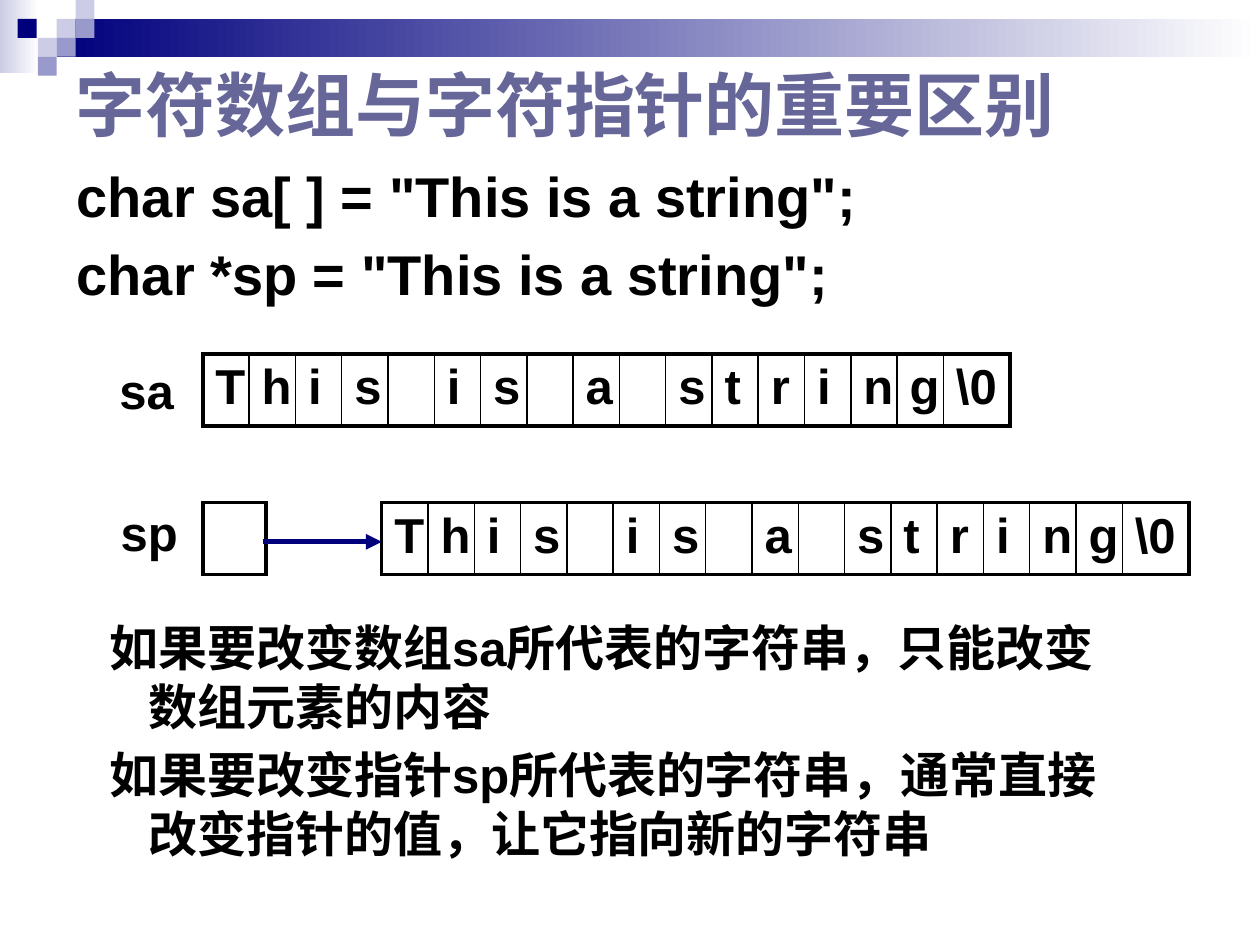
from lxml.etree import SubElement
from pptx import Presentation
from pptx.dml.color import RGBColor
from pptx.enum.dml import MSO_LINE
from pptx.enum.shapes import MSO_CONNECTOR, MSO_SHAPE
from pptx.enum.text import MSO_ANCHOR, MSO_AUTO_SIZE, PP_ALIGN
from pptx.oxml.ns import qn
from pptx.util import Inches, Pt

NAVY, LAVENDER, PERIWINKLE = "00007D", "CCCCE6", "9999CC"
SLATE, BLACK, WHITE = "666699", "000000", "FFFFFF"
THIN, THICK = 1, 2.25
LETTERS = [*"This is a string", "\\0"]
TABLE_WIDTH, LAST_WIDTH, ROW_HEIGHT = 6.41, 0.53, 0.57
LETTER_WIDTH = (TABLE_WIDTH - LAST_WIDTH) / (len(LETTERS) - 1)
LETTER_WIDTHS = [LETTER_WIDTH] * (len(LETTERS) - 1) + [LAST_WIDTH]


def color(hex_string):
    return RGBColor.from_string(hex_string)


class SlideBuilder:
    """Holds the text style and the slide being filled."""

    font_name = "Arial"

    def __init__(self, slide):
        self.slide = slide

    def rectangle(self, left, top, width, height, fill, fade_to=None):
        shape = self.slide.shapes.add_shape(
            MSO_SHAPE.RECTANGLE, Inches(left), Inches(top), Inches(width), Inches(height))
        shape.shadow.inherit = False
        shape.line.fill.background()
        if fade_to:
            shape.fill.gradient()
            shape.fill.gradient_angle = 0
            for stop, stop_color in zip(shape.fill.gradient_stops, (fill, fade_to)):
                stop.color.rgb = color(stop_color)
        else:
            shape.fill.solid()
            shape.fill.fore_color.rgb = color(fill)

    def run(self, paragraph, text, size, text_color=BLACK):
        run = paragraph.add_run()
        run.text = text
        run.font.name = self.font_name
        run.font.size = Pt(size)
        run.font.bold = True
        run.font.color.rgb = color(text_color)

    def place(self, shape, left, top, width, height):
        shape.left, shape.top = Inches(left), Inches(top)
        shape.width, shape.height = Inches(width), Inches(height)

    def title(self, text, *box):
        shape = self.slide.shapes.title
        self.place(shape, *box)
        frame = shape.text_frame
        frame.auto_size = MSO_AUTO_SIZE.NONE
        frame.vertical_anchor = MSO_ANCHOR.MIDDLE
        frame.paragraphs[0].alignment = PP_ALIGN.LEFT
        self.run(frame.paragraphs[0], text, 40, SLATE)

    def fill_lines(self, frame, lines, size, margin, hanging):
        """Write one unbulleted paragraph with a hanging indent per line."""
        frame.word_wrap = True
        frame.auto_size = MSO_AUTO_SIZE.NONE
        for index, line in enumerate(lines):
            paragraph = frame.add_paragraph() if index else frame.paragraphs[0]
            paragraph.space_before = Pt(size * 0.2)
            properties = paragraph._p.get_or_add_pPr()
            properties.set("marL", str(Inches(margin)))
            properties.set("indent", str(-Inches(hanging)))
            SubElement(properties, qn("a:buNone"))
            self.run(paragraph, line, size)

    def text_box(self, lines, box, size=28, margin=0.81, hanging=0.31):
        shape = self.slide.shapes.add_textbox(*map(Inches, box))
        self.fill_lines(shape.text_frame, lines, size, margin, hanging)

    def body(self, lines, box, size=28, margin=0.81, hanging=0.31):
        shape = self.slide.placeholders[1]
        self.place(shape, *box)
        self.fill_lines(shape.text_frame, lines, size, margin, hanging)

    def border(self, cell, side, width):
        line = SubElement(cell._tc.get_or_add_tcPr(), qn(f"a:{side}"), w=str(Pt(width)))
        fill = SubElement(line, qn("a:solidFill"))
        SubElement(fill, qn("a:srgbClr"), val=BLACK)

    def memory_row(self, left, top, texts, widths):
        """Draw a one-row table with a thick frame and thin inner lines."""
        table = self.slide.shapes.add_table(
            1, len(texts), Inches(left), Inches(top),
            Inches(sum(widths)), Inches(ROW_HEIGHT)).table
        table.first_row = table.horz_banding = False
        last = len(texts) - 1
        for index, (text, width) in enumerate(zip(texts, widths)):
            table.columns[index].width = Inches(width)
            cell = table.cell(0, index)
            cell.margin_left = cell.margin_right = Inches(0.1)
            if text.strip():
                self.run(cell.text_frame.paragraphs[0], text, 28)
            self.border(cell, "lnL", THIN if index else THICK)
            self.border(cell, "lnR", THIN if index < last else THICK)
            self.border(cell, "lnT", THICK)
            self.border(cell, "lnB", THICK)
            cell.fill.background()

    def arrow(self, start, end, line_color, width):
        connector = self.slide.shapes.add_connector(
            MSO_CONNECTOR.STRAIGHT, *map(Inches, (*start, *end)))
        connector.line.color.rgb = color(line_color)
        connector.line.width = Pt(width)
        connector.line.dash_style = MSO_LINE.SOLID
        SubElement(connector.line._get_or_add_ln(), qn("a:tailEnd"), type="triangle")
        SubElement(connector._element.spPr, qn("a:effectLst"))


def main():
    presentation = Presentation()
    presentation.slide_width, presentation.slide_height = Inches(10), Inches(7.5)
    builder = SlideBuilder(presentation.slides.add_slide(presentation.slide_layouts[1]))

    builder.rectangle(0, 0, 0.31, 0.58, LAVENDER, fade_to=WHITE)
    builder.rectangle(0.45, 0.15, 9.55, 0.3, NAVY, fade_to=WHITE)
    for left, top, fill in [
        (0.45, 0.15, LAVENDER), (0.6, 0, LAVENDER), (0.6, 0.15, PERIWINKLE),
        (0.3, 0.3, LAVENDER), (0.14, 0.15, NAVY), (0.45, 0.3, PERIWINKLE),
        (0.3, 0.45, PERIWINKLE),
    ]:
        builder.rectangle(left, top, 0.15, 0.15, fill)

    builder.title("字符数组与字符指针的重要区别", 0.5, 0.5, 9, 0.65)
    builder.text_box(
        ['char sa[ ] = "This is a string";', 'char *sp = "This is a string";'],
        (0.51, 1.23, 6.93, 1.26), size=32, margin=0.38, hanging=0.38)

    builder.text_box(["sa"], (0.35, 2.81, 1.34, 0.47))
    builder.memory_row(1.61, 2.81, LETTERS, LETTER_WIDTHS)

    builder.text_box(["sp"], (0.36, 3.94, 1.34, 0.47))
    builder.memory_row(3.03, 3.99, LETTERS, LETTER_WIDTHS)
    builder.memory_row(1.61, 3.99, [""], [0.5])
    builder.arrow((2.09, 4.3), (3.03, 4.3), NAVY, 3)

    builder.body(
        ["如果要改变数组sa所代表的字符串，只能改变数组元素的内容",
         "如果要改变指针sp所代表的字符串，通常直接改变指针的值，让它指向新的字符串"],
        (0.27, 4.85, 8.74, 2.28))
    presentation.save("out.pptx")


if __name__ == "__main__":
    main()
